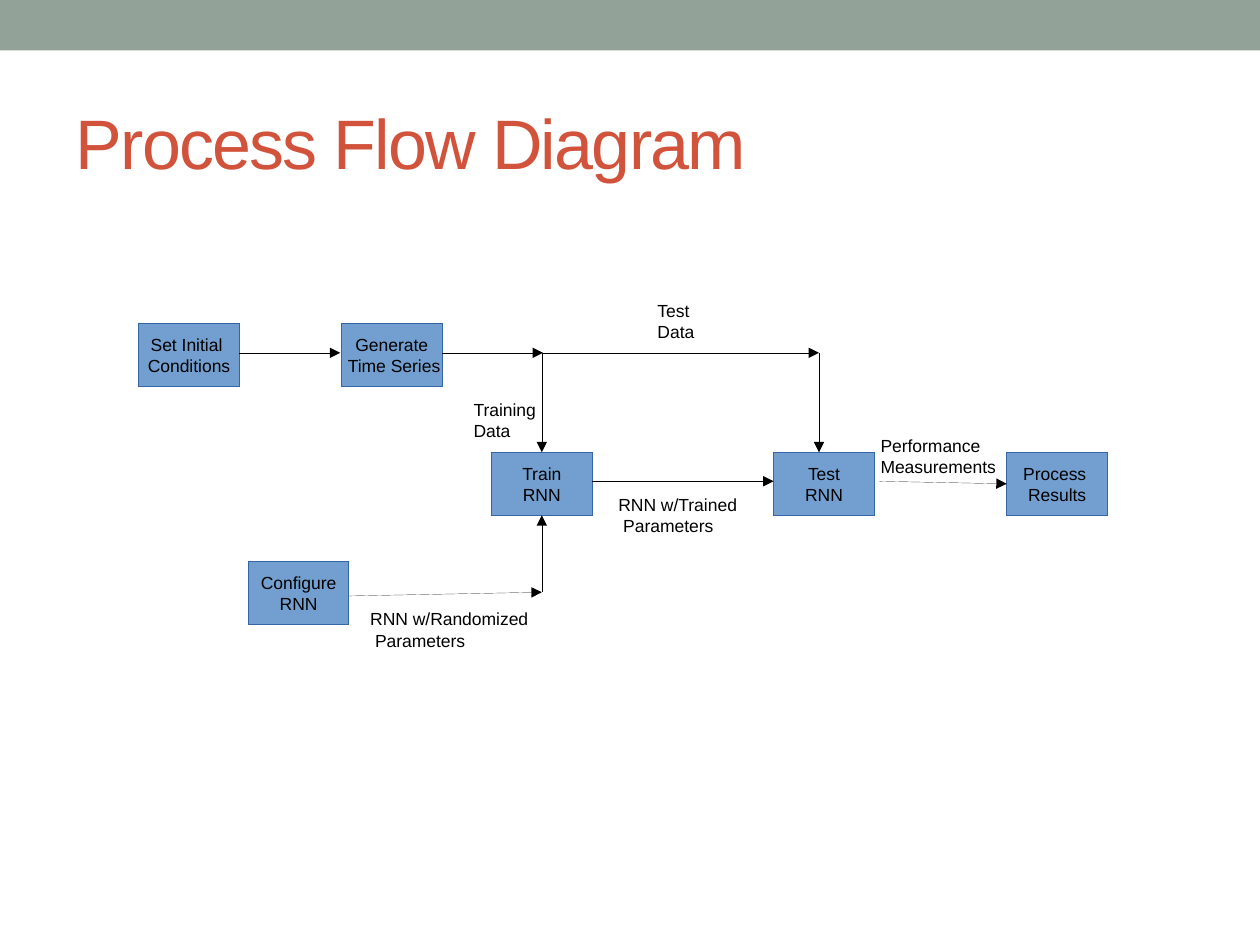
from pptx import Presentation
from pptx.dml.color import RGBColor
from pptx.enum.shapes import MSO_CONNECTOR, MSO_SHAPE
from pptx.enum.text import MSO_ANCHOR, MSO_AUTO_SIZE, PP_ALIGN
from pptx.oxml.ns import qn
from pptx.util import Inches, Pt
from lxml.etree import SubElement

BAR_GREEN = RGBColor(0x93, 0xA2, 0x99)
TITLE_RED = RGBColor(0xD2, 0x53, 0x3C)
BOX_BLUE = RGBColor(0x72, 0x9F, 0xCF)
EDGE_BLUE = RGBColor(0x34, 0x65, 0xA4)
BLACK = RGBColor(0, 0, 0)

BOX_W, BOX_H = 0.8, 0.5
TOP_Y, MID_Y = 0.27, 1.29  # tops of the upper and middle rows of boxes
SPLIT_Y, FLOW_Y = 0.5, 1.52  # heights of the upper and middle arrows
TRAIN_X, TEST_X = 3.2, 5.4  # vertical arrows into the two RNN steps

# Places below are in inches from the corner of the diagram
STEPS = [
    (0, TOP_Y, ["Set Initial ", "Conditions"]),
    (1.61, TOP_Y, ["Generate", " Time Series"]),
    (0.87, 2.16, ["Configure", "RNN"]),
    (2.8, MID_Y, ["Train", "RNN"]),
    (5.04, MID_Y, ["Test", "RNN"]),
    (6.89, MID_Y, ["Process ", "Results"]),
]
ARROWS = [
    (0.8, SPLIT_Y, 1.6, SPLIT_Y),
    (2.41, SPLIT_Y, 3.21, SPLIT_Y),
    (TRAIN_X, SPLIT_Y, TRAIN_X, MID_Y),
    (1.67, 2.43, TRAIN_X, 2.4),
    (TRAIN_X, 2.4, TRAIN_X, MID_Y + BOX_H),
    (TRAIN_X, SPLIT_Y, TEST_X, SPLIT_Y),
    (3.6, FLOW_Y, 5.04, FLOW_Y),
    (TEST_X, SPLIT_Y, TEST_X, MID_Y),
    (5.88, FLOW_Y, 6.89, 1.54),
]
LABELS = [
    (2.56, 0.82, 0.72, ["Training", "Data"]),
    (4.02, 0.03, 0.5, ["Test", "Data"]),
    (1.74, 2.48, 1.47, ["RNN w/Randomized", " Parameters"]),
    (3.71, 1.57, 1.16, ["RNN w/Trained", " Parameters"]),
    (5.79, 1.1, 1.14, ["Performance", "Measurements"]),
]


def write(tf, lines, size=10, color=BLACK, align=PP_ALIGN.LEFT,
          anchor=MSO_ANCHOR.TOP, wrap=False, fit=MSO_AUTO_SIZE.NONE, spacing=None):
    tf.auto_size, tf.word_wrap, tf.vertical_anchor = fit, wrap, anchor
    for i, line in enumerate(lines):
        p = tf.add_paragraph() if i else tf.paragraphs[0]
        p.alignment = align
        r = p.add_run()
        r.text = line
        r.font.name, r.font.size = "Arial", Pt(size)
        r.font.color.rgb = color
        if spacing is not None:
            r.font._element.set("spc", str(int(spacing * 100)))


def set_hairline(line, color):
    """Colour a line and write its zero width, which line.width would leave out."""
    line.color.rgb = color
    ln = line._get_or_add_ln()
    ln.set("w", "0")
    return ln


def add_header(slide, left, top, width):
    # Band across the top
    bar = slide.shapes.add_shape(MSO_SHAPE.RECTANGLE, left, top, width, Inches(0.4))
    bar.shadow.inherit = False
    bar.fill.solid()
    bar.fill.fore_color.rgb = BAR_GREEN
    bar.line.fill.background()
    # Title
    title = slide.shapes.title
    title.left, title.top = left + Inches(0.5), top + Inches(0.58)
    title.width, title.height = width - Inches(1), Inches(1.08)
    write(title.text_frame, ["Process Flow Diagram"], size=40, color=TITLE_RED,
          anchor=MSO_ANCHOR.MIDDLE, wrap=True, spacing=-1)


def add_step(slide, left, top, lines):
    s = slide.shapes.add_shape(MSO_SHAPE.FLOWCHART_PROCESS, left, top,
                               Inches(BOX_W), Inches(BOX_H))
    s.shadow.inherit = False
    s.fill.solid()
    s.fill.fore_color.rgb = BOX_BLUE
    set_hairline(s.line, EDGE_BLUE)
    write(s.text_frame, lines, align=PP_ALIGN.CENTER, anchor=MSO_ANCHOR.MIDDLE)


def add_arrow(slide, x1, y1, x2, y2):
    c = slide.shapes.add_connector(MSO_CONNECTOR.STRAIGHT, x1, y1, x2, y2)
    ln = set_hairline(c.line, BLACK)
    SubElement(ln, qn("a:tailEnd"), type="triangle")
    SubElement(c._element.spPr, qn("a:effectLst"))


def add_label(slide, left, top, width, lines):
    s = slide.shapes.add_textbox(left, top, width, Inches(0.41))
    write(s.text_frame, lines, fit=MSO_AUTO_SIZE.SHAPE_TO_FIT_TEXT)


def add_diagram(slide, left, top):
    for x, y, lines in STEPS:
        add_step(slide, left + Inches(x), top + Inches(y), lines)
    for x1, y1, x2, y2 in ARROWS:
        add_arrow(slide, left + Inches(x1), top + Inches(y1),
                  left + Inches(x2), top + Inches(y2))
    for x, y, width, lines in LABELS:
        add_label(slide, left + Inches(x), top + Inches(y), Inches(width), lines)


def main():
    prs = Presentation()
    prs.slide_width, prs.slide_height = Inches(10), Inches(7.5)
    slide = prs.slides.add_slide(prs.slide_layouts[5])
    add_header(slide, 0, 0, prs.slide_width)
    add_diagram(slide, Inches(1.1), Inches(2.3))
    prs.save("out.pptx")


if __name__ == "__main__":
    main()
